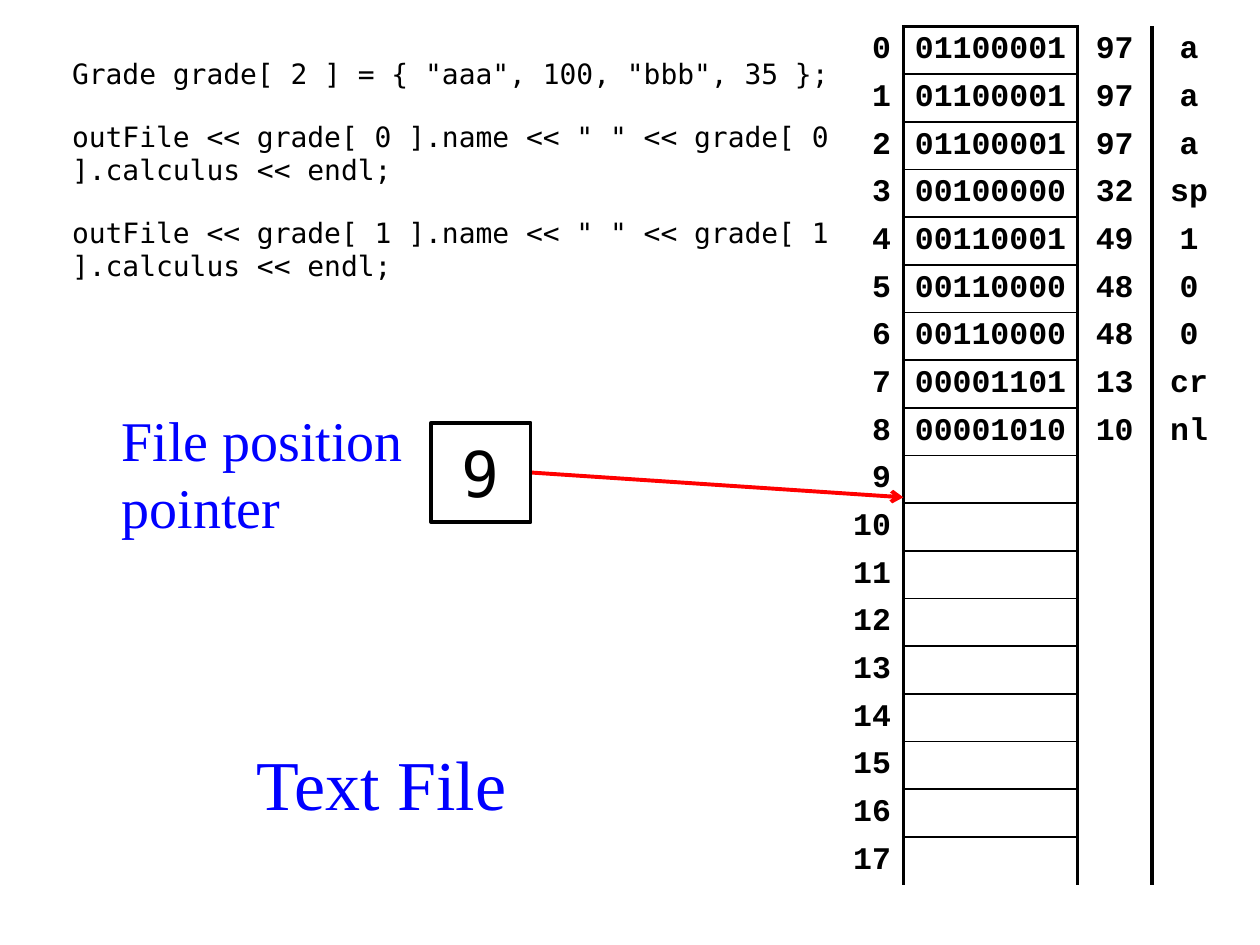
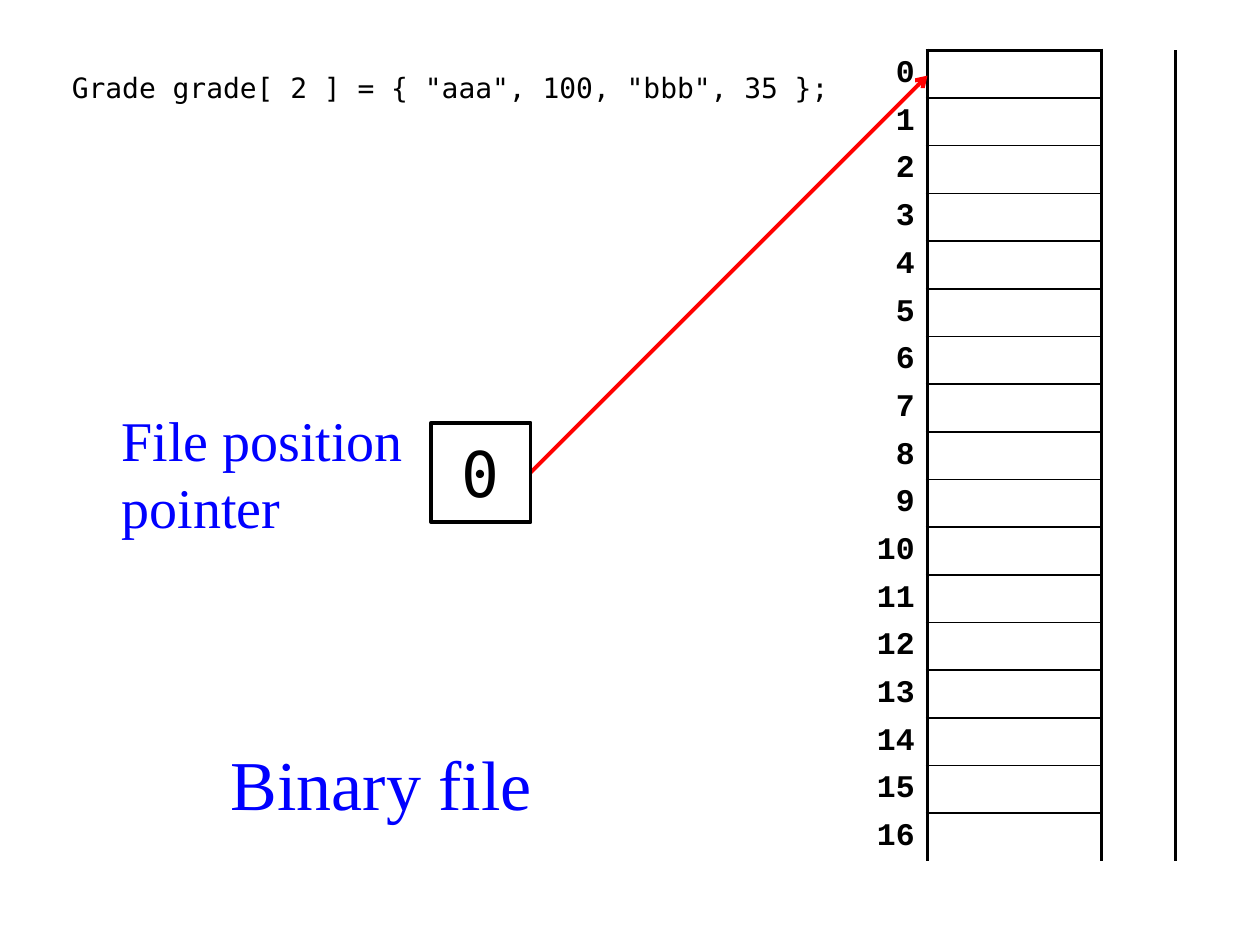
from lxml import etree
from pptx import Presentation, util as u
from pptx.dml import color
from pptx.enum import shapes, text
from pptx.oxml import ns

Pt = u.Pt
BLACK, BLUE, RED = "000000", "0000FF", "FF0000"
SERIF, MONO, CODE = "Times New Roman", "DejaVu Sans Mono", "Courier New"
LEFT, MID, RIGHT = text.PP_ALIGN.LEFT, text.PP_ALIGN.CENTER, text.PP_ALIGN.RIGHT
TOP, CENTER = text.MSO_ANCHOR.TOP, text.MSO_ANCHOR.MIDDLE
PLAIN = "{2D5ABB26-0587-4C30-8999-92F81FD0307C}"
THICK, THIN = 2.25, 1


def rgb(code):
    return color.RGBColor.from_string(code)


def node(parent, tag, **attrs):
    return etree.SubElement(parent, ns.qn(tag), attrs)


def write(frame, lines, size=18, font=SERIF, ink=BLACK, bold=False,
          align=LEFT, gap=0):
    for i, line in enumerate(lines):
        para = frame.paragraphs[0] if i == 0 else frame.add_paragraph()
        para.alignment = align
        para.space_before = Pt(gap if i else 0)
        run = para.add_run()
        run.text = line
        run.font.size, run.font.name, run.font.bold = Pt(size), font, bold
        run.font.color.rgb = rgb(ink)


class Deck:
    def __init__(self):
        self.show = Presentation()
        self.show.slide_width, self.show.slide_height = Pt(720), Pt(540)
        self.slide = None

    def add(self, layout):
        self.slide = self.show.slides.add_slide(self.show.slide_layouts[layout])

    def place(self, shape, x, y, w, h, anchor=CENTER):
        shape.left, shape.top, shape.width, shape.height = map(Pt, (x, y, w, h))
        frame = shape.text_frame
        frame.word_wrap = True
        frame.auto_size = text.MSO_AUTO_SIZE.NONE
        frame.vertical_anchor = anchor
        return frame

    def title(self, words, width):
        frame = self.place(self.slide.shapes.title, 218 - width / 2, 412, width, 70.5)
        write(frame, [words], size=40, ink=BLUE, align=MID)

    def body(self, lines):
        frame = self.place(self.slide.placeholders[1], 34, 28.8, 453.6, 141.8, TOP)
        write(frame, lines, size=16, font=MONO, gap=16.5)
        for para in frame.paragraphs:
            props = para._p.get_or_add_pPr()
            props.set("marL", "0")
            props.set("indent", "0")
            node(props, "a:buNone")

    def note(self, lines, x, y, w, h, **style):
        shape = self.slide.shapes.add_textbox(0, 0, 0, 0)
        write(self.place(shape, x, y, w, h), lines, **style)

    def box(self, words):
        shape = self.slide.shapes.add_shape(shapes.MSO_SHAPE.RECTANGLE, 0, 0, 0, 0)
        shape.shadow.inherit = False
        shape.fill.background()
        shape.line.color.rgb = rgb(BLACK)
        shape.line.width = Pt(THICK)
        frame = self.place(shape, 246.4, 241.6, 56.8, 56.8)
        write(frame, [words], size=36, font=MONO, align=MID)

    def arrow(self, x, y):
        line = self.slide.shapes.add_connector(
            shapes.MSO_CONNECTOR.STRAIGHT, Pt(303.2), Pt(270), Pt(x), Pt(y))
        line.line.color.rgb = rgb(RED)
        line.line.width = Pt(THICK)
        node(line.line._ln, "a:tailEnd", type="arrow")
        node(line.element.spPr, "a:effectLst")

    def edge(self, cell, **sides):
        props = cell._tc.get_or_add_tcPr()
        for side in "LRTB":
            if side in sides:
                line = node(props, "a:ln" + side, w=str(Pt(sides[side])))
                node(node(line, "a:solidFill"), "a:srgbClr", val=BLACK)

    def bytes(self, x, y, count, data=()):
        widths, pitch = (42.5, 99.4, 42.5, 42.5), 27.26
        frame = self.slide.shapes.add_table(
            count, 4, Pt(x), Pt(y), Pt(sum(widths)), Pt(pitch * count))
        frame.element.find(".//" + ns.qn("a:tableStyleId")).text = PLAIN
        table = frame.table
        table.first_row = table.horz_banding = False
        for col, width in zip(table.columns, widths):
            col.width = Pt(width)
        for i, row in enumerate(table.rows):
            row.height = Pt(pitch)
            words = (str(i),) + (data[i] if i < len(data) else ("", "", ""))
            for j, (cell, word) in enumerate(zip(row.cells, words)):
                cell.vertical_anchor = CENTER
                cell.margin_left = cell.margin_right = Pt(5.8 if j == 1 else 7.2)
                cell.margin_top = cell.margin_bottom = Pt(3.3 if word else 0)
                if word:
                    write(cell.text_frame, [word], font=CODE, bold=True,
                          align=MID if j else RIGHT)
                if j == 0:
                    self.edge(cell, R=THICK)
                elif j == 1:
                    sides = dict(L=THICK, R=THICK, T=THIN if i else THICK)
                    if i < count - 1:
                        sides["B"] = THIN
                    self.edge(cell, **sides)
                elif j == 2:
                    self.edge(cell, L=THICK)
                cell.fill.background()

    def pointer(self, value, x, y):
        self.arrow(x, y)
        self.box(value)
        self.note(["File position", "pointer"], 62.4, 227.5, 184.3, 85,
                  size=32, ink=BLUE)


GRADE = 'Grade grade[ 2 ] = { "aaa", 100, "bbb", 35 };'
SIGNS = ["a", "a", "a", "sp", "1", "0", "0", "cr", "nl"]
CODES = [97, 97, 97, 32, 49, 48, 48, 13, 10]

deck = Deck()

deck.add(1)
deck.bytes(473.8, 15.1, 18,
           [(f"{code:08b}", str(code), sign) for code, sign in zip(CODES, SIGNS)])
deck.title("Text File", 170)
deck.body([GRADE] + [
    f'outFile << grade[ {i} ].name << " " << grade[ {i} ].calculus << endl;'
    for i in range(2)])
deck.pointer("9", 516.2, 284.2)

deck.add(5)
deck.bytes(487.4, 28.8, 17)
deck.title("Binary file", 198.6)
deck.pointer("0", 530, 43.2)
deck.note([GRADE], 34, 28.8, 453.6, 42.5, size=16, font=MONO)

deck.show.save("out.pptx")
